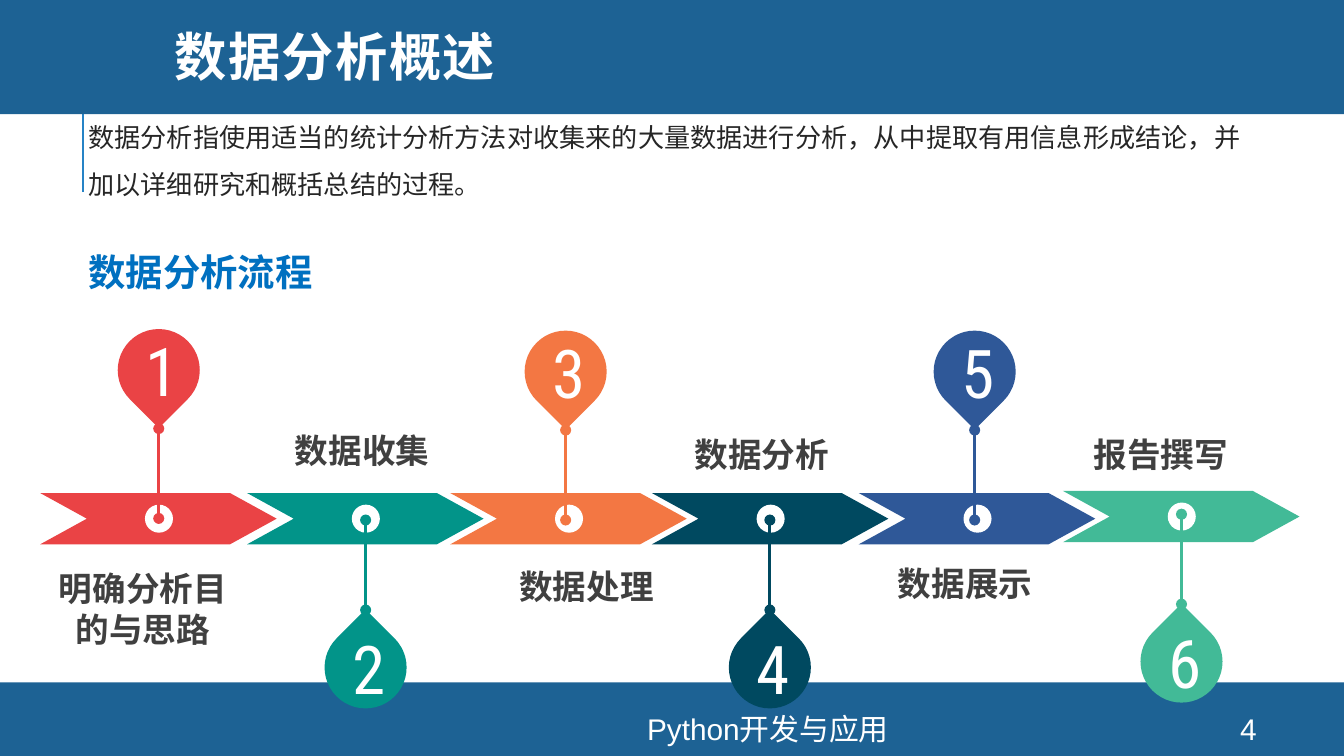
from lxml.etree import SubElement
from pptx import Presentation
from pptx.dml.color import RGBColor
from pptx.enum.shapes import MSO_CONNECTOR as Connector, MSO_SHAPE as Shape
from pptx.enum.text import MSO_ANCHOR as Anchor, PP_ALIGN as Align
from pptx.oxml.ns import qn
from pptx.util import Cm, Pt

BAR, WHITE, LABEL = "1D6294", "FFFFFF", "404040"
CJK, DIGITS = "Noto Sans CJK SC", "Roboto Condensed"
PIN, RING = 1.55, 0.53

# label, colour, arrow left, arrow top, pin centre, pin top, label box (cm)
STEPS = [
    ("明确分析目的与思路", "EA4345", 0.76, 9.32, 3.0, 6.22, (0.86, 10.74, 3.68, 1.55)),
    ("数据收集", "029489", 4.67, 9.32, 6.91, 11.84, (5.56, 8.13, 2.57, 0.76)),
    ("数据处理", "F37743", 8.51, 9.32, 10.69, 6.25, (9.8, 10.69, 2.57, 0.76)),
    ("数据分析", "004960", 12.32, 9.32, 14.55, 11.84, (13.11, 8.2, 2.57, 0.76)),
    ("数据展示", "2F5898", 16.23, 9.32, 18.42, 6.25, (16.92, 10.64, 2.64, 0.76)),
    ("报告撰写", "42BA97", 20.09, 9.28, 22.33, 11.73, (20.65, 8.2, 2.57, 0.76)),
]


def color(value):
    return RGBColor.from_string(value)


def add_shape(slide, kind, box, fill, rotation=0):
    shape = slide.shapes.add_shape(kind, *map(Cm, box))
    shape.shadow.inherit = False
    shape.fill.solid()
    shape.fill.fore_color.rgb = color(fill)
    shape.line.fill.background()
    shape.rotation = rotation
    return shape


def add_text(slide, box, text, size, font, fill, bold=False, align=Align.LEFT,
             anchor=Anchor.TOP, spacing=None, before=None, inset=True, wrap=True):
    frame = slide.shapes.add_textbox(*map(Cm, box)).text_frame
    frame.word_wrap = wrap
    frame.vertical_anchor = anchor
    if not inset:
        frame.margin_left = frame.margin_right = 0
        frame.margin_top = frame.margin_bottom = 0
    paragraph = frame.paragraphs[0]
    paragraph.alignment = align
    paragraph.line_spacing = spacing
    paragraph.space_before = before
    run = paragraph.add_run()
    run.text = text
    run.font.size = Pt(size)
    run.font.bold = bold
    run.font.name = font
    run.font.color.rgb = color(fill)
    # East Asian typeface
    SubElement(run.font._element, qn("a:ea"), typeface=CJK)
    return run


def add_line(slide, x, start, end, fill, oval_ends=False):
    line = slide.shapes.add_connector(
        Connector.STRAIGHT, Cm(x), Cm(start), Cm(x), Cm(end))
    line.line.color.rgb = color(fill)
    line.line.width = Pt(1.5)
    if oval_ends:
        outline = line.line._get_or_add_ln()
        for end_tag in ("a:headEnd", "a:tailEnd"):
            SubElement(outline, qn(end_tag), type="oval")
    SubElement(line._element.spPr, qn("a:effectLst"))


def add_arrow(slide, left, top, fill):
    arrow = add_shape(slide, Shape.NOTCHED_RIGHT_ARROW, (left, top, 4.47, 0.97), fill)
    arrow.adjustments[0] = 1
    arrow.adjustments[1] = 0.91
    ring = add_shape(slide, Shape.OVAL, (left + 1.98, top + 0.22, RING, RING), WHITE)
    slide.shapes.add_group_shape([arrow, ring])


def add_pin(slide, number, center, top, fill):
    above = number % 2 == 1
    # Stem from the tip of the drop to the arrow
    tip = top + 1.88 if above else top - 0.31
    add_line(slide, center, tip, tip + (1.7 if above else -1.7), fill, oval_ends=True)
    add_shape(slide, Shape.TEAR, (center - PIN / 2, top, PIN, PIN), fill,
              rotation=135 if above else 315)
    add_text(slide, (center - 0.25, top, 0.6, PIN), str(number), 36, DIGITS, WHITE,
             align=Align.CENTER, anchor=Anchor.MIDDLE, before=Pt(3),
             inset=False, wrap=False)


def add_frame(slide):
    # Side rule, footer bar and header bar
    add_line(slide, 1.57, 3.63, 1.73, "2683C6")
    add_shape(slide, Shape.RECTANGLE, (0, 12.9, 25.4, 1.39), BAR)
    add_shape(slide, Shape.RECTANGLE, (0, -0.08, 25.4, 2.24), BAR)
    # Title and footer
    title = add_text(slide, (3.05, 0, 21.56, 2.31), "数据分析概述", 28, "Montserrat",
                     WHITE, bold=True, anchor=Anchor.MIDDLE, spacing=0.8)
    title.font._element.set("spc", "80")
    for box, text in (((6.63, 13.49, 15.77, 0.58), "Python开发与应用"),
                      ((22.58, 13.49, 2.03, 0.58), "4")):
        add_text(slide, box, text, 16, "Arial", WHITE,
                 align=Align.CENTER, anchor=Anchor.MIDDLE)


def main():
    presentation = Presentation()
    presentation.slide_width, presentation.slide_height = Cm(25.4), Cm(14.29)
    slide = presentation.slides.add_slide(presentation.slide_layouts[6])
    add_frame(slide)

    # Definition and section heading
    add_text(slide, (1.42, 1.88, 22.58, 1.96),
             "数据分析指使用适当的统计分析方法对收集来的大量数据进行分析，"
             "从中提取有用信息形成结论，并加以详细研究和概括总结的过程。",
             14, CJK, "262626", spacing=1.5)
    add_text(slide, (1.42, 4.17, 5.97, 1.4), "数据分析流程", 20, CJK, "0070C0",
             bold=True, spacing=1.5)

    # Process steps
    for number, (label, fill, left, top, center, pin_top, box) in enumerate(STEPS, 1):
        add_arrow(slide, left, top, fill)
        add_pin(slide, number, center, pin_top, fill)
        add_text(slide, box, label, 18, DIGITS, LABEL, bold=True,
                 align=Align.CENTER, inset=False, wrap=number == 1)

    presentation.save("out.pptx")


if __name__ == "__main__":
    main()
